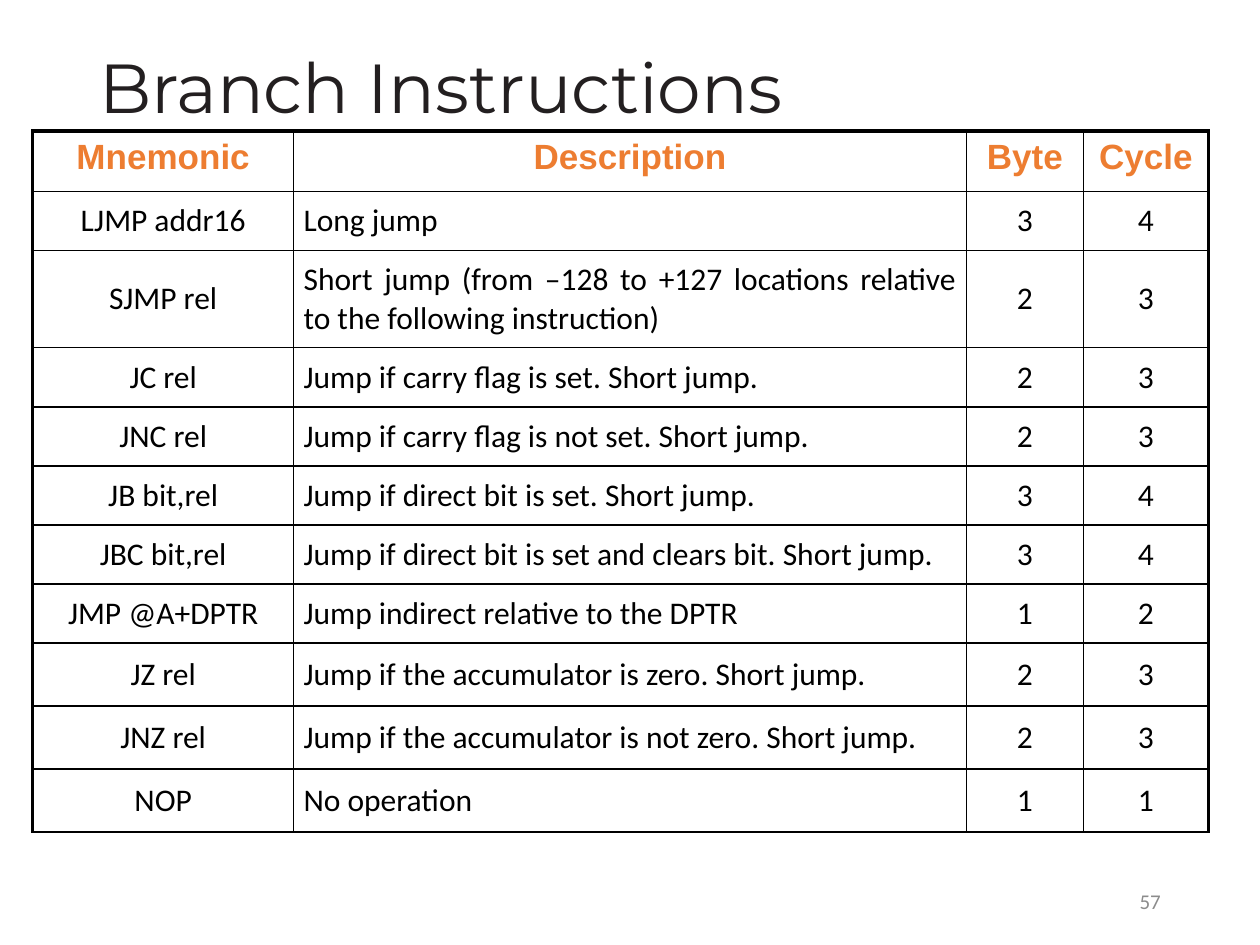
from lxml import etree
from pptx import Presentation
from pptx import util as u
from pptx.dml.color import RGBColor
from pptx.enum import text
from pptx.oxml import ns

INK = RGBColor(0x23, 0x1F, 0x20)
ORANGE = RGBColor(0xED, 0x7D, 0x31)
BLACK = RGBColor(0, 0, 0)
GREY = RGBColor(0x8C, 0x8C, 0x8C)

CENTER, JUSTIFY = text.PP_ALIGN.CENTER, text.PP_ALIGN.JUSTIFY
LEFT, RIGHT = text.PP_ALIGN.LEFT, text.PP_ALIGN.RIGHT
MIDDLE, TOP = text.MSO_ANCHOR.MIDDLE, text.MSO_ANCHOR.TOP

HEADER = ("Mnemonic", "Description", "Byte", "Cycle")
INSTRUCTIONS = [
    ("LJMP addr16", "Long jump", 3, 4),
    ("SJMP rel", "Short jump (from –128 to +127 locations relative "
                 "to the following instruction)", 2, 3),
    ("JC rel", "Jump if carry flag is set. Short jump.", 2, 3),
    ("JNC rel", "Jump if carry flag is not set. Short jump.", 2, 3),
    ("JB bit,rel", "Jump if direct bit is set. Short jump.", 3, 4),
    ("JBC bit,rel", "Jump if direct bit is set and clears bit. Short jump.", 3, 4),
    ("JMP @A+DPTR", "Jump indirect relative to the DPTR", 1, 2),
    ("JZ rel", "Jump if the accumulator is zero. Short jump.", 2, 3),
    ("JNZ rel", "Jump if the accumulator is not zero. Short jump.", 2, 3),
    ("NOP", "No operation", 1, 1),
]
COLUMN_WIDTHS = (5.26, 13.56, 2.36, 2.52)
ROW_HEIGHTS = [1.22, 1.19, 1.96] + [1.19] * 5 + [1.27] * 3


class InstructionSlide:
    """Holds the text style and the current slide, and adds its elements."""

    def __init__(self, presentation):
        self.slide = presentation.slides.add_slide(presentation.slide_layouts[5])
        self.body_font = "Calibri"
        self.thin, self.thick = u.Pt(1), u.Pt(2.25)

    def style(self, paragraph, font, size, color, alignment, bold=False):
        paragraph.alignment = alignment
        for run in paragraph.runs:
            run.font.name = font
            run.font.size = u.Pt(size)
            run.font.bold = bold
            run.font.color.rgb = color

    def title(self, wording):
        shape = self.slide.shapes.title
        shape.left, shape.top = u.Cm(1.75), u.Cm(1.02)
        shape.width, shape.height = u.Cm(21.9), u.Cm(1.63)
        frame = shape.text_frame
        frame.text = wording
        frame.auto_size = text.MSO_AUTO_SIZE.NONE
        frame.vertical_anchor = MIDDLE
        paragraph = frame.paragraphs[0]
        paragraph.line_spacing = 0.9
        self.style(paragraph, "Montserrat", 39.6, INK, LEFT)

    def borders(self, cell, widths):
        properties = cell._tc.get_or_add_tcPr()
        for index, (side, width) in enumerate(widths.items()):
            line = etree.Element(ns.qn(f"a:ln{side}"), w=str(int(width)))
            fill = etree.SubElement(line, ns.qn("a:solidFill"))
            etree.SubElement(fill, ns.qn("a:srgbClr"), val=str(BLACK))
            properties.insert(index, line)

    def cell(self, cell, value, is_header, alignment):
        cell.text = str(value)
        cell.fill.background()
        cell.vertical_anchor = TOP if is_header else MIDDLE
        side, end = (0.25, 0.13) if is_header else (0.2, 0.2)
        cell.margin_left = cell.margin_right = u.Cm(side)
        cell.margin_top = cell.margin_bottom = u.Cm(end)
        paragraph = cell.text_frame.paragraphs[0]
        if is_header:
            self.style(paragraph, "Arial", 20, ORANGE, CENTER, bold=True)
        else:
            self.style(paragraph, self.body_font, 18, BLACK, alignment)

    def table(self, rows, left, top):
        frame = self.slide.shapes.add_table(
            len(rows), len(COLUMN_WIDTHS), u.Cm(left), u.Cm(top),
            u.Cm(sum(COLUMN_WIDTHS)), u.Cm(sum(ROW_HEIGHTS)))
        table = frame.table
        table.horz_banding = False
        for column, width in zip(table.columns, COLUMN_WIDTHS):
            column.width = u.Cm(width)
        for row, height in zip(table.rows, ROW_HEIGHTS):
            row.height = u.Cm(height)
        last = len(COLUMN_WIDTHS) - 1
        for i, values in enumerate(rows):
            for j, value in enumerate(values):
                cell = table.cell(i, j)
                self.cell(cell, value, i == 0, JUSTIFY if j == 1 else CENTER)
                self.borders(cell, {
                    "L": self.thick if j == 0 else self.thin,
                    "R": self.thick if j == last else self.thin,
                    "T": self.thick if i == 0 else self.thin,
                    "B": self.thin,
                })

    def page_number(self, number):
        shape = self.slide.shapes.add_textbox(
            u.Cm(17.93), u.Cm(17.65), u.Cm(5.72), u.Cm(1.02))
        frame = shape.text_frame
        frame.word_wrap = True
        frame.vertical_anchor = MIDDLE
        frame.text = str(number)
        self.style(frame.paragraphs[0], self.body_font, 12, GREY, RIGHT)


def main():
    presentation = Presentation()
    presentation.slide_width, presentation.slide_height = u.Cm(25.4), u.Cm(19.05)
    page = InstructionSlide(presentation)
    page.title("Branch Instructions")
    page.table([HEADER] + INSTRUCTIONS, left=0.66, top=2.64)
    page.page_number(57)
    presentation.save("out.pptx")


if __name__ == "__main__":
    main()
